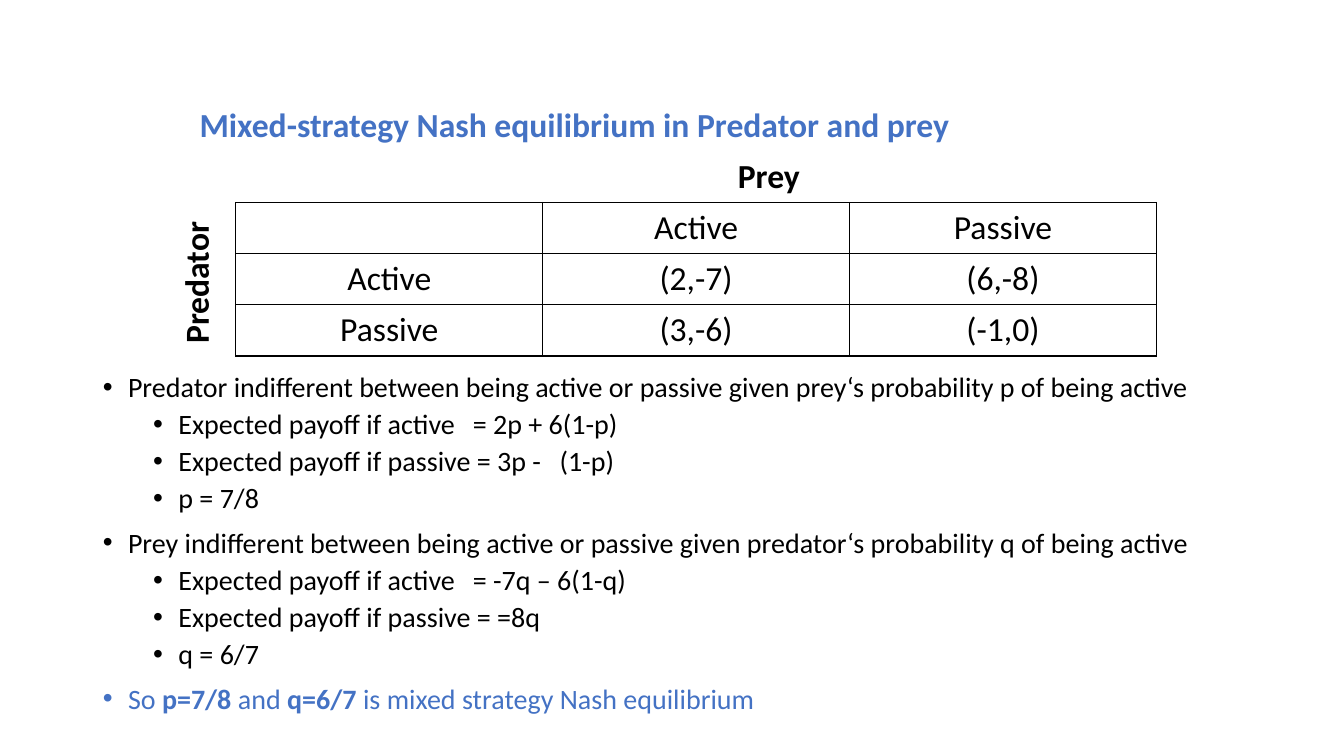
import dataclasses

import lxml.etree
import pptx
import pptx.dml.color
import pptx.enum.text
import pptx.oxml.ns
import pptx.util


@dataclasses.dataclass(frozen=True)
class Theme:
    """Colours, font and type sizes of the slide."""
    font: str = "Calibri"
    ink: str = "000000"
    accent: str = "4472C4"
    large: int = 24
    body: int = 20
    rule: int = 1


def add_xml(parent, tag, **attributes):
    """Append a DrawingML element and return it."""
    return lxml.etree.SubElement(parent, pptx.oxml.ns.qn(tag), attributes)


class SlideBuilder:
    """Places styled elements on one slide in percent of its size."""

    def __init__(self, deck, theme):
        """Add a title-and-content page to the deck."""
        self.deck, self.theme = deck, theme
        self.page = deck.slides.add_slide(deck.slide_layouts[1])

    def area(self, left, top, width, height):
        """Turn percentages into slide lengths."""
        across, down = self.deck.slide_width / 100, self.deck.slide_height / 100
        return [round(left * across), round(top * down), round(width * across), round(height * down)]

    def place(self, shape, area):
        """Move a shape to an area."""
        for name, value in zip(("left", "top", "width", "height"), self.area(*area)):
            setattr(shape, name, value)

    def add_span(self, para, text, size, color=None, bold=False, align=pptx.enum.text.PP_ALIGN.LEFT):
        """Add a formatted span to a paragraph."""
        para.alignment = align
        span = para.add_run()
        span.text = text
        formats = {"name": self.theme.font, "size": pptx.util.Pt(size), "bold": bold}
        for name, value in formats.items():
            setattr(span.font, name, value)
        span.font.color.rgb = pptx.dml.color.RGBColor.from_string(color or self.theme.ink)

    def frame(self, box, anchor=pptx.enum.text.MSO_ANCHOR.TOP):
        """Set wrapping and anchoring of a text frame."""
        formats = {"word_wrap": True, "auto_size": pptx.enum.text.MSO_AUTO_SIZE.NONE,
                   "vertical_anchor": anchor}
        for name, value in formats.items():
            setattr(box.text_frame, name, value)
        return box.text_frame

    def title(self, text, area):
        """Fill the title placeholder."""
        box = self.page.shapes.title
        self.place(box, area)
        self.add_span(self.frame(box).paragraphs[0], text, self.theme.large, self.theme.accent, True)

    def label(self, text, area, upward=False):
        """Add a bold label, optionally reading upward."""
        frame = self.frame(self.page.shapes.add_textbox(*self.area(*area)))
        if upward:
            frame._txBody.bodyPr.set("vert", "vert270")
        self.add_span(frame.paragraphs[0], text, self.theme.large, bold=True)

    def matrix(self, rows, area):
        """Add a ruled table of centred values."""
        shape = self.page.shapes.add_table(len(rows), len(rows[0]), *self.area(*area))
        table = shape.table
        for name in ("first_row", "horz_banding"):
            setattr(table, name, False)
        for row, values in enumerate(rows):
            for column, value in enumerate(values):
                cell = table.cell(row, column)
                self.rule_cell(cell)
                cell.fill.background()
                if value:
                    self.add_span(cell.text_frame.paragraphs[0], value, self.theme.large,
                                  align=pptx.enum.text.PP_ALIGN.CENTER)

    def rule_cell(self, cell):
        """Draw all four borders of a cell."""
        properties = cell._tc.get_or_add_tcPr()
        for side in "LRTB":
            line = add_xml(properties, f"a:ln{side}", w=str(pptx.util.Pt(self.theme.rule)))
            add_xml(add_xml(line, "a:solidFill"), "a:srgbClr", val=self.theme.ink)

    def bullets(self, items, area):
        """Fill the body placeholder with levelled bullets."""
        box = self.page.placeholders[1]
        self.place(box, area)
        frame = self.frame(box)
        for index, (level, color, spans, stops) in enumerate(items):
            para = frame.add_paragraph() if index else frame.paragraphs[0]
            formats = {"level": level, "line_spacing": 0.9,
                       "space_before": pptx.util.Pt(5 if level else 10)}
            for name, value in formats.items():
                setattr(para, name, value)
            for text, bold in spans:
                self.add_span(para, text, self.theme.body, color, bold)
            self.mark(para, level, stops)

    def mark(self, para, level, stops):
        """Set the indent, bullet and tab stops of a paragraph."""
        properties = para._p.get_or_add_pPr()
        properties.set("marL", str(pptx.util.Inches(0.25 + 0.5 * level)))
        properties.set("indent", str(pptx.util.Inches(-0.25)))
        add_xml(properties, "a:buFont", typeface="Arial")
        add_xml(properties, "a:buChar", char="•")
        if stops:
            tabs = add_xml(properties, "a:tabLst")
            for stop in stops:
                add_xml(tabs, "a:tab", pos=str(pptx.util.Inches(stop)), algn="l")


def point(text, *stops, level=1):
    """Describe a plain bullet with its tab stops."""
    return level, None, [(text, False)], stops


def main():
    """Build and save the slide."""
    deck = pptx.Presentation()
    deck.slide_width, deck.slide_height = pptx.util.Inches(13.33), pptx.util.Inches(7.5)
    theme = Theme()
    slide = SlideBuilder(deck, theme)
    slide.matrix([("", "Active", "Passive"),
                  ("Active", "(2,-7)", "(6,-8)"),
                  ("Passive", "(3,-6)", "(-1,0)")], (17.55, 26.8, 68.5, 20))
    slide.title("Mixed-strategy Nash equilibrium in Predator and prey", (14.1, 13.07, 62.26, 6.67))
    slide.label("Predator", (12.68, 26.8, 4.58, 20), upward=True)
    slide.label("Prey", (54.16, 19.87, 15.9, 6.67))
    equals, bracket = 3.67, 4.53
    conclusion = [("So ", False), ("p=7/8 ", True), ("and ", False), ("q=6/7", True),
                  (" is mixed strategy Nash equilibrium", False)]
    slide.bullets([
        point("Predator indifferent between being active or passive given prey‘s probability p of being active", level=0),
        point("Expected payoff if active\t= 2p + 6(1-p)", equals),
        point("Expected payoff if passive = 3p -\t(1-p)", bracket),
        point("p = 7/8"),
        point("Prey indifferent between being active or passive given predator‘s probability q of being active", level=0),
        point("Expected payoff if active\t= -7q – 6(1-q)", equals),
        point("Expected payoff if passive = =8q"),
        point("q = 6/7"),
        (0, theme.accent, conclusion, ()),
    ], (6.9, 48.67, 86.27, 41.73))
    deck.save("out.pptx")


if __name__ == "__main__":
    main()
